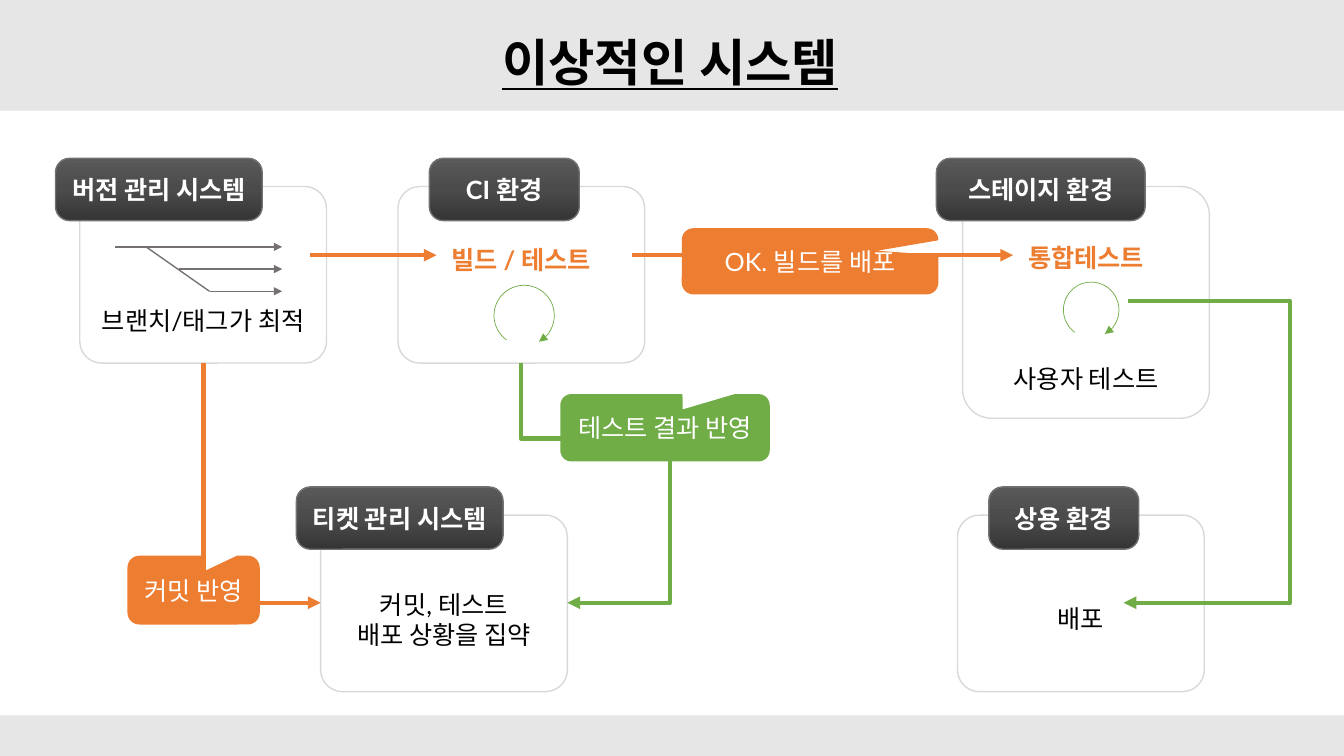
from copy import deepcopy
from dataclasses import dataclass

from lxml import etree
from pptx import Presentation
from pptx import util as u
from pptx.dml.color import RGBColor
from pptx.enum import shapes, text
from pptx.oxml.ns import qn

Cm, Pt = u.Cm, u.Pt
SHAPE = shapes.MSO_SHAPE
LINK = shapes.MSO_CONNECTOR


@dataclass(frozen=True)
class Theme:
    font: str = "Lato"
    title_size: int = 36
    body_size: int = 18
    black: str = "000000"
    white: str = "FFFFFF"
    backdrop: str = "E7E6E6"
    border: str = "D9D9D9"
    grey: str = "767171"
    orange: str = "ED7D31"
    green: str = "70AD47"
    header_stops: tuple = ("353535", "4B4B4B", "595959")


THEME = Theme()


def rgb(colour):
    return RGBColor.from_string(colour)


def paint_line(item, colour, width, arrow=False):
    item.line.color.rgb = rgb(colour)
    item.line.width = Pt(width)
    if arrow:
        outline = item._element.spPr.find(qn("a:ln"))
        etree.SubElement(outline, qn("a:tailEnd")).set("type", "triangle")


def add_shape(slide, kind, left, top, width, height, fill=None):
    shape = slide.shapes.add_shape(kind, Cm(left), Cm(top), Cm(width), Cm(height))
    shape.shadow.inherit = False
    if fill:
        shape.fill.solid()
        shape.fill.fore_color.rgb = rgb(fill)
    else:
        shape.fill.background()
    shape.line.fill.background()
    return shape


def style_paragraph(paragraph, colour, size=THEME.body_size, bold=False):
    paragraph.alignment = text.PP_ALIGN.CENTER
    font = paragraph.font
    font.name, font.size, font.bold = THEME.font, Pt(size), bold
    font.color.rgb = rgb(colour)


def write_label(shape, words, colour, bold=False):
    frame = shape.text_frame
    frame.word_wrap = True
    frame.vertical_anchor = text.MSO_ANCHOR.MIDDLE
    frame.text = words
    style_paragraph(frame.paragraphs[0], colour, bold=bold)


def add_panel(slide, left, top, height, inset, lines, gap=0):
    """Outlined box; lines holds (words, colour, bold), starting inset below the top."""
    panel = add_shape(slide, SHAPE.ROUNDED_RECTANGLE, left, top, 6.22, height)
    panel.adjustments[0] = 0.125
    paint_line(panel, THEME.border, 1)
    frame = panel.text_frame
    frame.word_wrap = True
    frame.vertical_anchor = text.MSO_ANCHOR.TOP
    frame.margin_top = Cm(inset)
    for index, (words, colour, bold) in enumerate(lines):
        paragraph = frame.add_paragraph() if index else frame.paragraphs[0]
        paragraph.text = words
        if index and gap:
            paragraph.space_before = Pt(gap)
        style_paragraph(paragraph, colour, bold=bold)


def add_header(slide, words, left, panel_top, width):
    header = add_shape(slide, SHAPE.ROUNDED_RECTANGLE, left, panel_top - 0.71, width, 1.57)
    header.adjustments[0] = 0.225
    header.fill.gradient()
    header.fill.gradient_angle = 90
    stop_list = header._element.spPr.find(".//" + qn("a:gsLst"))
    stop_list.insert(1, deepcopy(stop_list[0]))
    for index, stop in enumerate(header.fill.gradient_stops):
        stop.color.rgb = rgb(THEME.header_stops[index])
        stop.position = index / 2
    paint_line(header, THEME.grey, 1)
    write_label(header, words, THEME.white, bold=True)


def add_line(slide, start, end, colour, width, arrow=True, kind=LINK.STRAIGHT):
    points = [Cm(value) for value in (*start, *end)]
    connector = slide.shapes.add_connector(kind, *points)
    paint_line(connector, colour, width, arrow)
    etree.SubElement(connector._element.spPr, qn("a:effectLst"))
    return connector


def add_elbow(slide, start, end, colour, bends=(), downward=False):
    """Bent arrow; bends are ratios along its own axes, downward leaves start vertically."""
    (x1, y1), (x2, y2) = start, end
    width, height = abs(x2 - x1), abs(y2 - y1)
    if downward:
        width, height = height, width
    left, top = (x1 + x2 - width) / 2, (y1 + y2 - height) / 2
    connector = add_line(slide, (left, top), (left + width, top + height),
                         colour, 3, kind=LINK.ELBOW)
    frame = connector._element.spPr.find(qn("a:xfrm"))
    frame.set("flipH", "1")
    if downward:
        frame.set("rot", str(270 * 60000))
    geometry = connector._element.spPr.find(qn("a:prstGeom"))
    geometry.set("prst", f"bentConnector{len(bends) + 2}")
    guides = geometry.find(qn("a:avLst"))
    for number, ratio in enumerate(bends, 1):
        guide = etree.SubElement(guides, qn("a:gd"))
        guide.set("name", f"adj{number}")
        guide.set("fmla", f"val {round(ratio * 100000)}")


def add_cycle(slide, left, top, size):
    cycle = add_shape(slide, SHAPE.ARC, left, top, size, size)
    cycle.adjustments[0], cycle.adjustments[1] = 75.387, 36.271
    paint_line(cycle, THEME.green, 0.5, arrow=True)


def add_callout(slide, words, box, pointer, colour, outlined=True):
    callout = add_shape(slide, SHAPE.ROUNDED_RECTANGULAR_CALLOUT, *box, fill=colour)
    callout.adjustments[0], callout.adjustments[1] = pointer
    if outlined:
        paint_line(callout, colour, 1)
    write_label(callout, words, THEME.white)


def add_title(slide, words):
    title = slide.shapes.title
    title.left, title.top, title.width, title.height = Cm(1.5), Cm(0.3), Cm(30.78), Cm(2.69)
    title.text_frame.text = words
    title.text_frame.vertical_anchor = text.MSO_ANCHOR.MIDDLE
    paragraph = title.text_frame.paragraphs[0]
    paragraph.line_spacing = 0.9
    style_paragraph(paragraph, THEME.black, THEME.title_size, bold=True)
    paragraph.font.underline = True


def add_branches(slide):
    for left, top in ((2.9, 6.22), (4.5, 6.78), (5.28, 7.34)):
        add_line(slide, (left, top), (7.11, top), THEME.grey, 1)
    add_line(slide, (5.28, 7.34), (3.68, 6.22), THEME.grey, 1, arrow=False)


def main():
    presentation = Presentation()
    presentation.slide_width, presentation.slide_height = Cm(33.87), Cm(19.05)
    slide = presentation.slides.add_slide(presentation.slide_layouts[5])
    slide.background.fill.solid()
    slide.background.fill.fore_color.rgb = rgb(THEME.backdrop)
    add_shape(slide, SHAPE.RECTANGLE, 0, 2.79, 33.87, 15.24, fill=THEME.white)
    add_title(slide, "이상적인 시스템")

    black, orange, green = THEME.black, THEME.orange, THEME.green
    upper, lower = 4.7, 12.98
    add_panel(slide, 2.01, upper, 4.45, 2.84, [("브랜치/태그가 최적", black, False)])
    add_panel(slide, 10.03, upper, 4.45, 1.29, [("빌드 / 테스트", orange, True)])
    add_panel(slide, 24.26, upper, 5.84, 1.2,
              [("통합테스트", orange, True), ("사용자 테스트", black, False)], gap=65)
    add_panel(slide, 8.08, lower, 4.45, 1.7,
              [("커밋, 테스트", black, False), ("배포 상황을 집약", black, False)])
    add_panel(slide, 24.13, lower, 4.45, 2.06, [("배포", black, False)])

    for words, left, panel_top, width in (
        ("버전 관리 시스템", 1.4, upper, 5.21),
        ("CI 환경", 10.82, upper, 3.78),
        ("스테이지 환경", 23.6, upper, 5.26),
        ("티켓 관리 시스템", 7.47, lower, 5.21),
        ("상용 환경", 24.92, lower, 3.78),
    ):
        add_header(slide, words, left, panel_top, width)

    add_branches(slide)
    add_cycle(slide, 12.45, 7.19, 1.52)
    add_cycle(slide, 26.8, 7.11, 1.4)

    add_line(slide, (7.82, 6.43), (11, 6.43), orange, 3)
    add_line(slide, (15.93, 6.43), (25.53, 6.43), orange, 3)
    add_elbow(slide, (13.13, 9.14), (14.3, 15.19), green, (0.316, 3.21), downward=True)
    add_elbow(slide, (5.13, 9.14), (8.08, 15.19), orange, downward=True)
    add_elbow(slide, (28.42, 7.59), (28.32, 15.19), green, (-40.9,))

    add_callout(slide, "OK. 빌드를 배포", (17.2, 5.77, 6.43, 1.63), (0.241, -0.159), orange)
    add_callout(slide, "테스트 결과 반영", (14.12, 9.93, 5.28, 1.7), (0.084, -0.271), green,
                outlined=False)
    add_callout(slide, "커밋 반영", (3.23, 14.02, 3.3, 1.7), (0.084, -0.271), orange)
    presentation.save("out.pptx")


if __name__ == "__main__":
    main()
